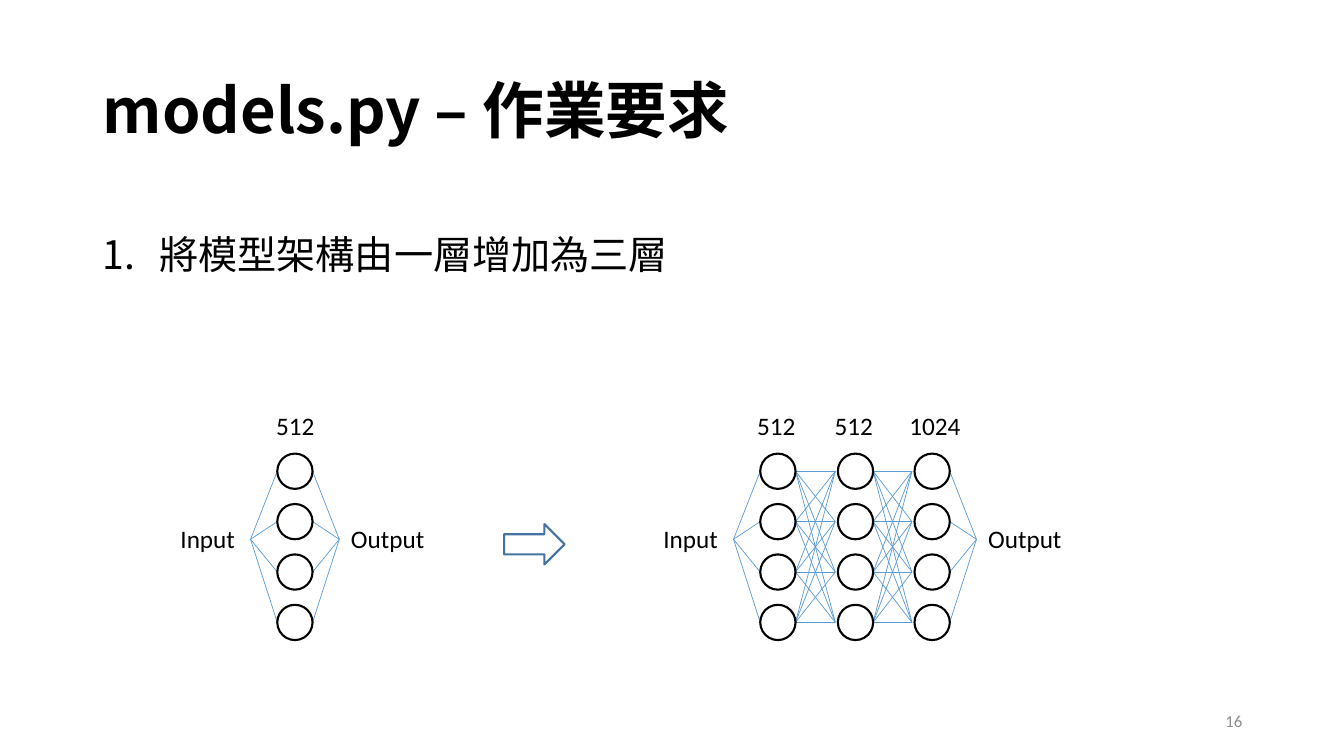
import dataclasses
import itertools
import typing

import lxml.etree
import pptx
import pptx.dml.color
import pptx.enum.shapes
import pptx.enum.text
import pptx.oxml.ns
import pptx.util

BLACK = pptx.dml.color.RGBColor(0x00, 0x00, 0x00)
BLUE = pptx.dml.color.RGBColor(0x5B, 0x9B, 0xD5)
STEEL = pptx.dml.color.RGBColor(0x43, 0x73, 0x9E)
GREY = pptx.dml.color.RGBColor(0x8C, 0x8C, 0x8C)

SANS = "Calibri"
CJK = "Noto Sans CJK SC"
ALIGN = pptx.enum.text.PP_ALIGN
FIT = pptx.enum.text.MSO_AUTO_SIZE
MIDDLE = pptx.enum.text.MSO_ANCHOR.MIDDLE
SHAPE = pptx.enum.shapes.MSO_SHAPE

# Grid: one cell is half an inch; each network has four nodes, one a row
CELL = 0.5
NODES = 4
TOP = 9
SIZE = 0.7
GAP = 0.05
FAN = 0.53
HUB = 10.7


@dataclasses.dataclass
class Box:
    col: float
    row: float
    wide: float
    high: float = 0.8

    def place(self) -> list[int]:
        return [cell(n) for n in (self.col, self.row, self.wide, self.high)]


@dataclasses.dataclass
class Layer:
    col: float
    units: str
    label: float


@dataclasses.dataclass
class Net:
    layers: list[Layer]


NETS = [
    Net([Layer(5.5, "512", 5.28)]),
    Net([Layer(15.08, "512", 14.82), Layer(16.62, "512", 16.36),
         Layer(18.14, "1024", 17.84)]),
]


def cell(count: float) -> int:
    return pptx.util.Inches(count * CELL)


def style(item: typing.Any, form: dict[str, typing.Any]) -> None:
    for key, value in form.items():
        setattr(item, key, value)


def write(shape: typing.Any, text: str, face: str, size: float,
          frame: dict[str, typing.Any], para: dict[str, typing.Any],
          color: pptx.dml.color.RGBColor = BLACK, bold: bool = False) -> typing.Any:
    """Fill a shape with one formatted paragraph and return it."""
    style(shape.text_frame, {"word_wrap": True, **frame})
    line = shape.text_frame.paragraphs[0]
    style(line, para)
    run = line.add_run()
    run.text = text
    style(run.font, {"name": face, "size": pptx.util.Pt(size), "bold": bold})
    run.font.color.rgb = color
    east = lxml.etree.SubElement(run.font._element, pptx.oxml.ns.qn("a:ea"))
    east.set("typeface", face)
    return line


def note(slide: typing.Any, box: Box, text: str, align: typing.Any) -> None:
    write(slide.shapes.add_textbox(*box.place()), text, SANS, 18,
          {"auto_size": FIT.SHAPE_TO_FIT_TEXT}, {"alignment": align})


def trace(slide: typing.Any, kind: typing.Any, box: Box,
          color: pptx.dml.color.RGBColor) -> None:
    """Draw an unfilled outline shape."""
    shape = slide.shapes.add_shape(kind, *box.place())
    shape.shadow.inherit = False
    shape.fill.background()
    shape.line.color.rgb = color
    shape.line.width = pptx.util.Pt(1.5)


def link(slide: typing.Any, start: tuple[float, float], end: tuple[float, float]) -> None:
    edge = slide.shapes.add_connector(
        pptx.enum.shapes.MSO_CONNECTOR.STRAIGHT, *map(cell, start + end))
    edge.line.color.rgb = BLUE
    edge.line.width = pptx.util.Pt(0.5)
    lxml.etree.SubElement(edge._element.spPr, pptx.oxml.ns.qn("a:effectLst"))


def ports(col: float) -> list[tuple[float, float]]:
    """Middle heights of all nodes, at one column."""
    return [(col, TOP + row + SIZE / 2) for row in range(NODES)]


def draw(slide: typing.Any, net: Net) -> None:
    first, last = net.layers[0].col, net.layers[-1].col + SIZE
    left, right = (first - FAN, HUB), (last + FAN, HUB)

    # Edges
    pairs = [([left], ports(first)), (ports(last), [right])]
    for one, two in itertools.pairwise(net.layers):
        pairs.append((ports(one.col + SIZE), ports(two.col - GAP)))
    for starts, ends in pairs:
        for start, end in itertools.product(starts, ends):
            link(slide, start, end)

    # Nodes and layer sizes
    for layer in net.layers:
        for row in range(NODES):
            trace(slide, SHAPE.OVAL, Box(layer.col, TOP + row, SIZE, SIZE), BLACK)
        note(slide, Box(layer.label, 8.04, 1.56), layer.units, ALIGN.LEFT)

    # Ends
    note(slide, Box(left[0] - 1.7, 10.28, 1.7), "Input", ALIGN.CENTER)
    note(slide, Box(right[0], 10.28, 1.92), "Output", ALIGN.CENTER)


def main() -> None:
    deck = pptx.Presentation()
    style(deck, {"slide_width": pptx.util.Inches(13.33),
                 "slide_height": pptx.util.Inches(7.5)})
    slide = deck.slides.add_slide(deck.slide_layouts[5])

    # Title
    title = slide.shapes.title
    spot = Box(1.84, 0.8, 23, 2.9).place()
    style(title, dict(zip(("left", "top", "width", "height"), spot)))
    write(title, "models.py – 作業要求", CJK, 44,
          {"auto_size": FIT.NONE, "vertical_anchor": MIDDLE},
          {"alignment": ALIGN.LEFT, "line_spacing": 0.9}, bold=True)

    # Numbered task
    task = slide.shapes.add_textbox(*Box(1.84, 4, 23, 9.52).place())
    line = write(task, "將模型架構由一層增加為三層", CJK, 28, {},
                 {"line_spacing": 1.5, "space_before": pptx.util.Pt(10)})
    props = line._p.get_or_add_pPr()
    inset = pptx.util.Inches(0.56)
    props.set("marL", str(inset))
    props.set("indent", str(-inset))
    font = lxml.etree.SubElement(props, pptx.oxml.ns.qn("a:buFont"))
    font.set("typeface", CJK)
    mark = lxml.etree.SubElement(props, pptx.oxml.ns.qn("a:buAutoNum"))
    mark.set("type", "arabicPeriod")

    # Networks before and after
    for net in NETS:
        draw(slide, net)
    trace(slide, SHAPE.RIGHT_ARROW, Box(10, 10.4, 1.2, 0.8), STEEL)

    # Page number
    page = slide.shapes.add_textbox(*Box(18.84, 13.9, 6).place())
    write(page, "16", SANS, 12, {"vertical_anchor": MIDDLE},
          {"alignment": ALIGN.RIGHT}, GREY)

    deck.save("out.pptx")


if __name__ == "__main__":
    main()
